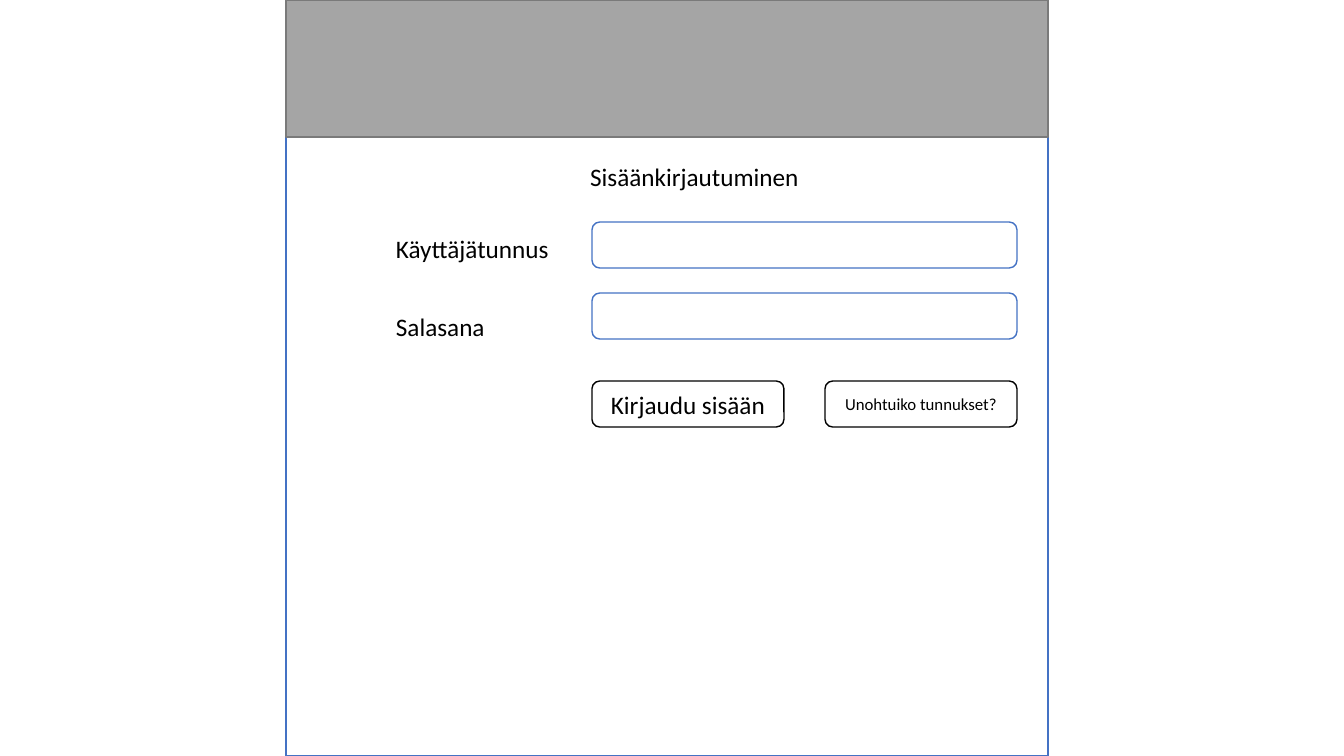
"""Build a login form wireframe slide."""
import pptx
import pptx.util
import pptx.dml.color
import pptx.enum.shapes
import pptx.enum.text

COLORS = {"white": "FFFFFF", "black": "000000", "blue": "4472C4",
          "grey": "A5A5A5", "dark_grey": "7A7A7A"}
SHAPES = pptx.enum.shapes.MSO_SHAPE
ALIGN = pptx.enum.text.PP_ALIGN
ANCHOR = pptx.enum.text.MSO_ANCHOR
AUTO_SIZE = pptx.enum.text.MSO_AUTO_SIZE


def pixels(count):
    """Convert whole pixels to EMU."""
    return pptx.util.Emu(round(count * 914400 / 100.8))


def color(name):
    """Look up a named colour."""
    return pptx.dml.color.RGBColor.from_string(COLORS[name])


def apply(target, values):
    """Set each attribute in values on target."""
    for name, value in values.items():
        setattr(target, name, value)


class Form:
    """Hold the text style and the current slide."""

    font = {"name": "Calibri", "bold": False}
    label_frame = {"word_wrap": False, "vertical_anchor": ANCHOR.TOP,
                   "auto_size": AUTO_SIZE.SHAPE_TO_FIT_TEXT}
    button_frame = {"word_wrap": True, "vertical_anchor": ANCHOR.MIDDLE}

    def __init__(self, slide):
        self.slide = slide

    def set_text(self, shape, text, frame_values, size=18, alignment=ALIGN.LEFT):
        """Put one formatted paragraph into a shape."""
        frame = shape.text_frame
        frame.text = text
        apply(frame, frame_values)
        paragraph = frame.paragraphs[0]
        paragraph.alignment = alignment
        font = paragraph.runs[0].font
        apply(font, {**self.font, "size": pptx.util.Pt(size)})
        font.color.rgb = color("black")

    def box(self, bounds, kind=SHAPES.ROUNDED_RECTANGLE, fill="white", line="blue"):
        """Add an outlined shape."""
        shape = self.slide.shapes.add_shape(kind, *map(pixels, bounds))
        shape.shadow.inherit = False
        shape.fill.solid()
        shape.fill.fore_color.rgb = color(fill)
        shape.line.color.rgb = color(line)
        shape.line.width = pptx.util.Pt(1)
        return shape

    def button(self, bounds, text, size):
        """Add a button with centred text."""
        self.set_text(self.box(bounds, line="black"), text, self.button_frame,
                      size, ALIGN.CENTER)

    def label(self, bounds, text):
        """Add a field label."""
        shape = self.slide.shapes.add_textbox(*map(pixels, bounds))
        self.set_text(shape, text, self.label_frame)

    def title(self, bounds, text):
        """Place the title placeholder in front of the panel."""
        shape = self.slide.shapes.title
        apply(shape, dict(zip(("left", "top", "width", "height"), map(pixels, bounds))))
        self.set_text(shape, text, self.label_frame)
        shape.element.getparent().append(shape.element)


presentation = pptx.Presentation()
apply(presentation, {"slide_width": pptx.util.Inches(13.333),
                     "slide_height": pptx.util.Inches(7.5)})
form = Form(presentation.slides.add_slide(presentation.slide_layouts[5]))

PANEL_LEFT, PANEL_WIDTH = 286, 762
FIELD_LEFT, FIELD_WIDTH, FIELD_HEIGHT = 592, 425, 46
BUTTON_TOP, BUTTON_WIDTH = 381, 192

form.box((PANEL_LEFT, 137, PANEL_WIDTH, 619), SHAPES.RECTANGLE)
form.box((PANEL_LEFT, 0, PANEL_WIDTH, 137), SHAPES.RECTANGLE, "grey", "dark_grey")
for field_top in (222, 293):
    form.box((FIELD_LEFT, field_top, FIELD_WIDTH, FIELD_HEIGHT))
for text, label_top, label_width in (("Käyttäjätunnus", 228, 175), ("Salasana", 306, 110)):
    form.label((386, label_top, label_width, 40), text)
form.title((580, 156, 237, 40), "Sisäänkirjautuminen")
buttons = (("Kirjaudu sisään", 18, FIELD_LEFT),
           ("Unohtuiko tunnukset?", 12, FIELD_LEFT + FIELD_WIDTH - BUTTON_WIDTH))
for text, size, left in buttons:
    form.button((left, BUTTON_TOP, BUTTON_WIDTH, FIELD_HEIGHT), text, size)

presentation.save("out.pptx")
